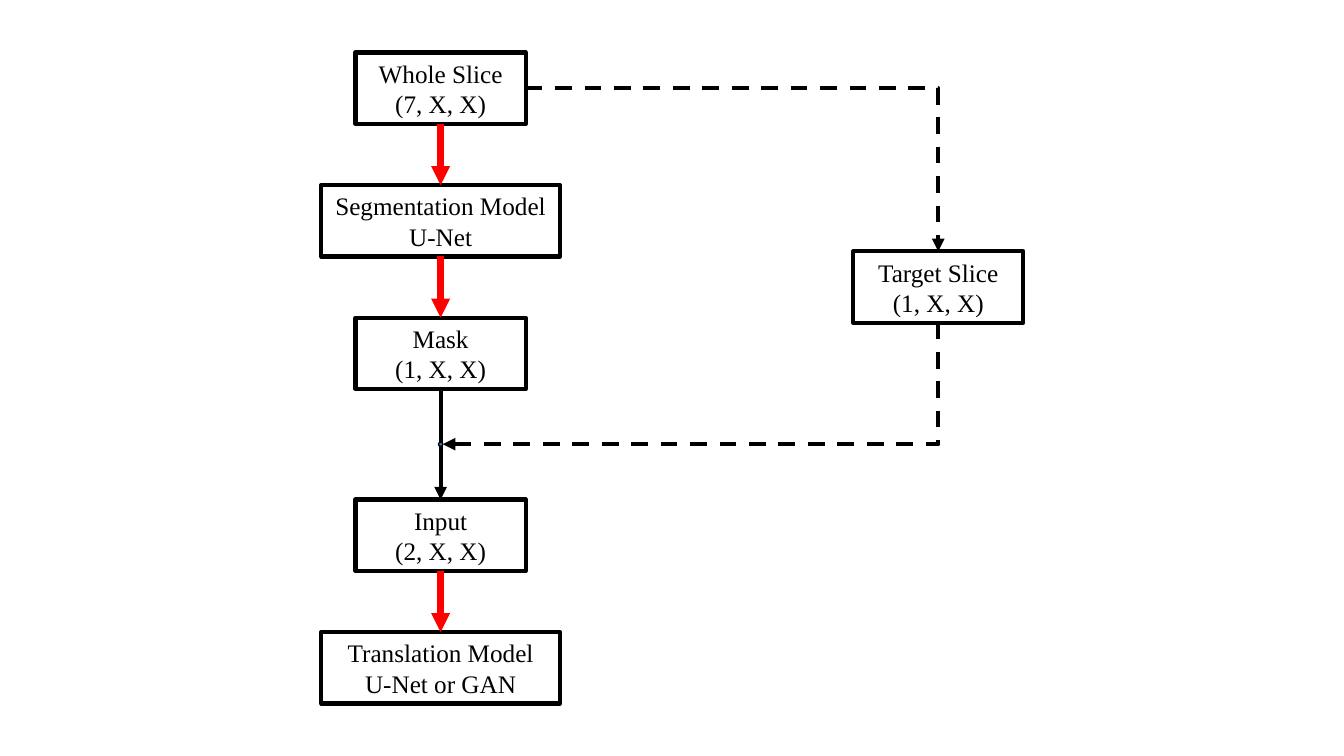
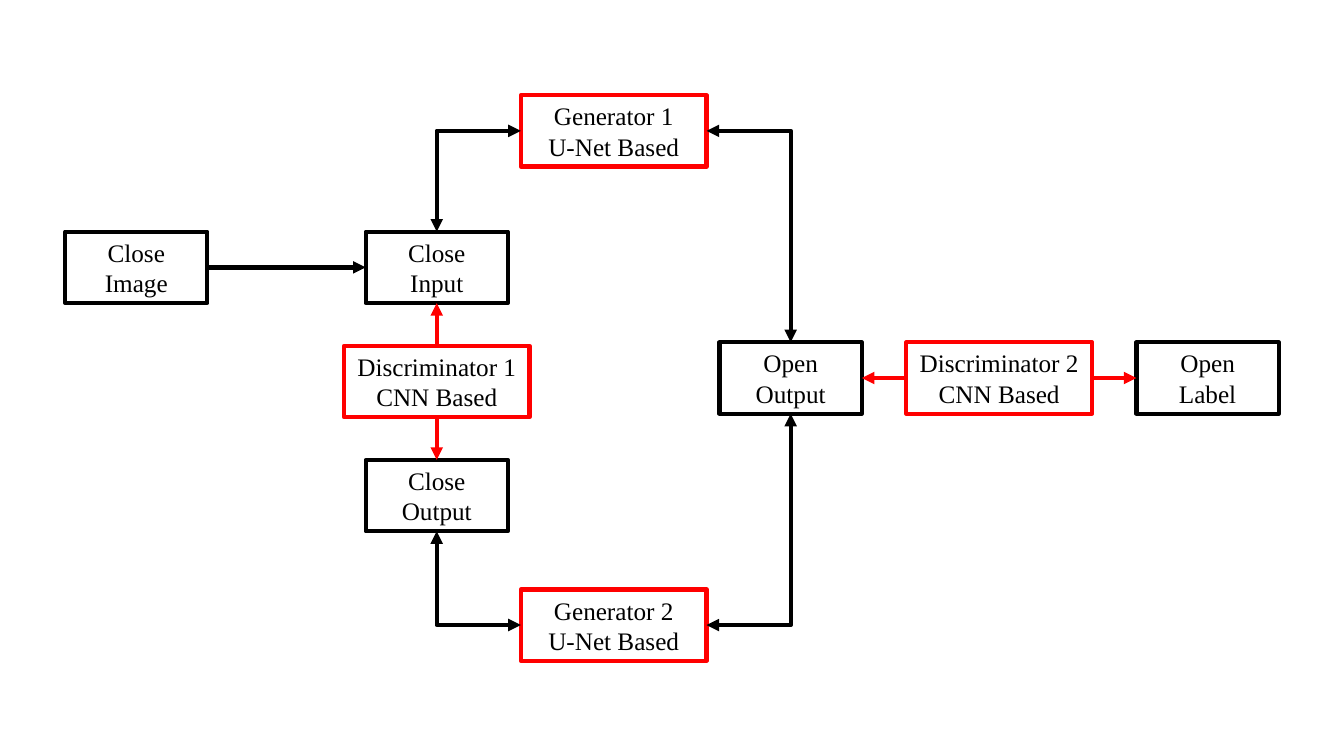
import pptx
import pptx.util
import pptx.dml.color
import pptx.enum.dml
import pptx.enum.shapes
import pptx.enum.text
import pptx.oxml.ns
from lxml import etree

Pt = pptx.util.Pt
SHAPE = pptx.enum.shapes.MSO_SHAPE
CONNECTOR = pptx.enum.shapes.MSO_CONNECTOR
qn = pptx.oxml.ns.qn

COLORS = {"ink": "000000", "red": "FF0000", "paper": "FFFFFF", "dot": "4472C4"}
FONT = "Times New Roman"
TEXT_SIZE = 18
LINE_WIDTH = 3
BOX_HEIGHT = 51
TOP, LEFT, BOTTOM, RIGHT = range(4)
ELLIPSE_RIGHT = 6


def rgb(name):
    return pptx.dml.color.RGBColor.from_string(COLORS[name])


def add_node(s, cx, cy, width, lines, color="ink", filled=False):
    sp = s.shapes.add_shape(SHAPE.RECTANGLE, Pt(cx - width / 2),
                            Pt(cy - BOX_HEIGHT / 2), Pt(width), Pt(BOX_HEIGHT))
    sp.shadow.inherit = False
    if filled:
        sp.fill.solid()
        sp.fill.fore_color.rgb = rgb("paper")
    else:
        sp.fill.background()
    sp.line.color.rgb = rgb(color)
    sp.line.width = Pt(LINE_WIDTH)
    tf = sp.text_frame
    tf.word_wrap = True
    tf.vertical_anchor = pptx.enum.text.MSO_ANCHOR.MIDDLE
    for i, text in enumerate(lines):
        p = tf.paragraphs[0] if i == 0 else tf.add_paragraph()
        p.alignment = pptx.enum.text.PP_ALIGN.CENTER
        r = p.add_run()
        r.text = text
        r.font.name = FONT
        r.font.size = Pt(TEXT_SIZE)
        r.font.color.rgb = rgb("ink")
    return sp


def add_dot(s, cx, cy, size):
    sp = s.shapes.add_shape(SHAPE.OVAL, Pt(cx - size / 2), Pt(cy - size / 2),
                            Pt(size), Pt(size))
    sp.shadow.inherit = False
    sp.fill.solid()
    sp.fill.fore_color.rgb = rgb("dot")
    sp.line.color.rgb = rgb("ink")
    sp.line.width = Pt(1)
    return sp


def link(s, start, end, arrows=("tailEnd",), color="ink", width=LINE_WIDTH,
         bent=False, dashed=False):
    kind = CONNECTOR.ELBOW if bent else CONNECTOR.STRAIGHT
    c = s.shapes.add_connector(kind, 0, 0, 0, 0)
    c.begin_connect(*start)
    c.end_connect(*end)
    c.line.color.rgb = rgb(color)
    c.line.width = Pt(width)
    if dashed:
        c.line.dash_style = pptx.enum.dml.MSO_LINE.DASH
    spPr = c._element.spPr
    if bent:
        spPr.find(qn("a:prstGeom")).set("prst", "bentConnector2")
    ln = spPr.find(qn("a:ln"))
    for arrow in arrows:
        etree.SubElement(ln, qn("a:" + arrow), type="triangle")
    etree.SubElement(spPr, qn("a:effectLst"))
    return c


def draw_pipeline(s, x, y, w, h):
    narrow, wide, gap = 121.5, 170.5, 43.7
    step = BOX_HEIGHT + gap
    cx = x + wide / 2
    first = y + BOX_HEIGHT / 2
    last = y + h - BOX_HEIGHT / 2
    rows = [first, first + step, first + 2 * step, last - step, last]

    whole = add_node(s, cx, rows[0], narrow, ["Whole Slice", "(7, X, X)"])
    segmentation = add_node(s, cx, rows[1], wide, ["Segmentation Model", "U-Net"])
    mask = add_node(s, cx, rows[2], narrow, ["Mask", "(1, X, X)"])
    merged = add_node(s, cx, rows[3], narrow, ["Input", "(2, X, X)"])
    translation = add_node(s, cx, rows[4], wide, ["Translation Model", "U-Net or GAN"])
    target = add_node(s, x + w - narrow / 2, (rows[1] + rows[2]) / 2, narrow,
                      ["Target Slice", "(1, X, X)"])

    for upper, lower in [(whole, segmentation), (segmentation, mask),
                         (merged, translation)]:
        link(s, (upper, BOTTOM), (lower, TOP), color="red", width=4.5)
    link(s, (mask, BOTTOM), (merged, TOP))
    link(s, (whole, RIGHT), (target, TOP), bent=True, dashed=True)
    junction = add_dot(s, cx, (rows[2] + rows[3]) / 2, 3)
    c = link(s, (junction, RIGHT), (target, BOTTOM), arrows=("headEnd",),
             bent=True, dashed=True)
    c._element.nvCxnSpPr.cNvCxnSpPr.stCxn.idx = ELLIPSE_RIGHT


def draw_cycle(s, x, y, w, h):
    narrow, wide = 101.6, 132.6
    both = ("headEnd", "tailEnd")
    image_x, label_x = x + narrow / 2, x + w - narrow / 2
    close_x, open_x = x + 265.4, x + 518.2
    generator_x = (close_x + open_x) / 2
    top_y, bottom_y = y + BOX_HEIGHT / 2, y + h - BOX_HEIGHT / 2
    middle_y = y + h / 2
    input_y, output_y = y + 123, y + 286

    image = add_node(s, image_x, input_y, narrow, ["Close", "Image"])
    close_in = add_node(s, close_x, input_y, narrow, ["Close", "Input"])
    close_out = add_node(s, close_x, output_y, narrow, ["Close", "Output"])
    open_out = add_node(s, open_x, middle_y, narrow, ["Open", "Output"])
    label = add_node(s, label_x, middle_y, narrow, ["Open", "Label"])
    generators = [
        add_node(s, generator_x, cy, wide, [f"Generator {n}", "U-Net Based"], "red")
        for n, cy in enumerate((top_y, bottom_y), 1)]

    link(s, (image, RIGHT), (close_in, LEFT))
    for generator, close, close_side, open_side in [
            (generators[0], close_in, TOP, TOP),
            (generators[1], close_out, BOTTOM, BOTTOM)]:
        link(s, (generator, LEFT), (close, close_side), both, bent=True)
        link(s, (generator, RIGHT), (open_out, open_side), both, bent=True)
    link(s, (close_in, BOTTOM), (close_out, TOP), both, "red")
    link(s, (open_out, RIGHT), (label, LEFT), both, "red")

    centers = [(close_x, (input_y + output_y) / 2),
               ((open_x + label_x) / 2, middle_y)]
    for n, (cx, cy) in enumerate(centers, 1):
        add_node(s, cx, cy, wide, [f"Discriminator {n}", "CNN Based"], "red", True)


def main():
    prs = pptx.Presentation()
    prs.slide_width, prs.slide_height = Pt(960), Pt(540)
    for draw, area in [(draw_pipeline, (229.5, 37.5, 501.5, 465)),
                       (draw_cycle, (46.6, 68, 866.8, 404))]:
        draw(prs.slides.add_slide(prs.slide_layouts[6]), *area)
    prs.save("out.pptx")


if __name__ == "__main__":
    main()
